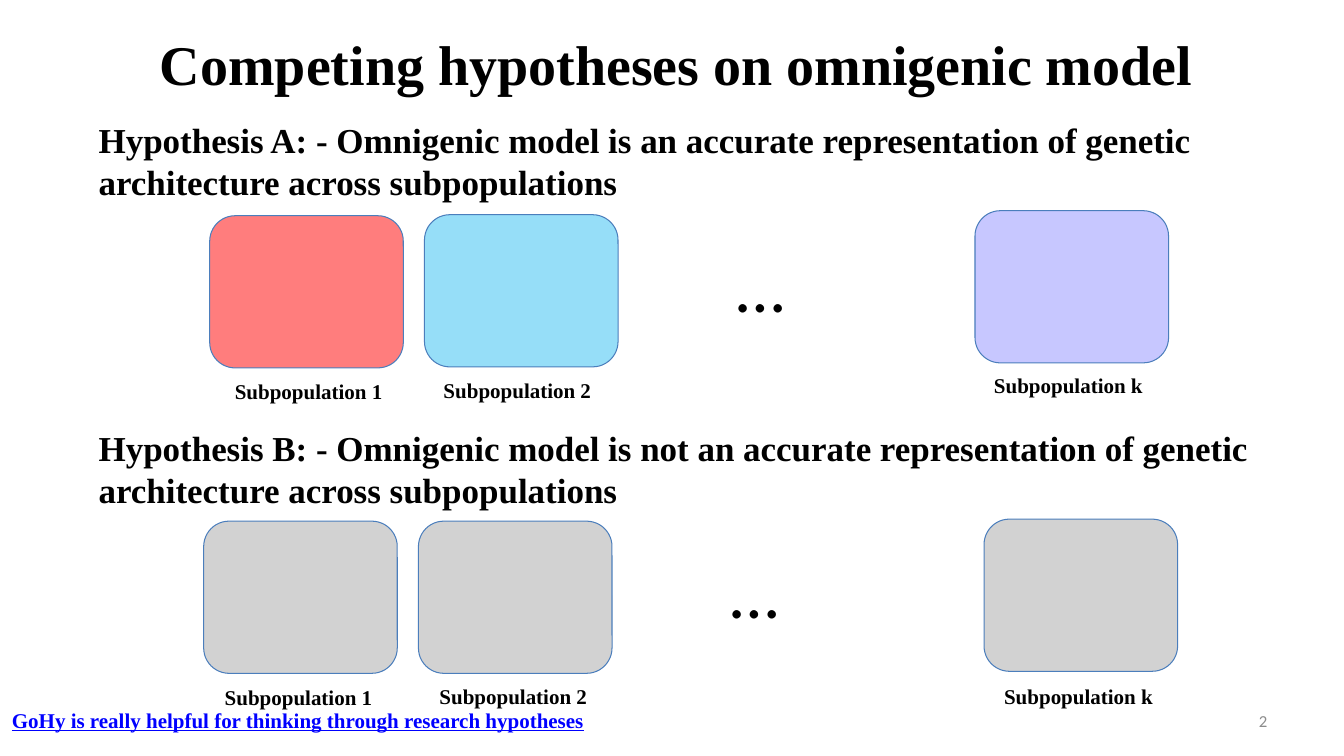
from lxml import etree
from pptx import Presentation
from pptx.dml.color import RGBColor
from pptx.enum import shapes, text
from pptx.oxml import ns
from pptx.util import Inches, Pt

BLACK = RGBColor(0x00, 0x00, 0x00)
LINK_BLUE = RGBColor(0x00, 0x00, 0xFF)
NUMBER_GREY = RGBColor(0x8C, 0x8C, 0x8C)
OUTLINE = RGBColor(0x4B, 0x7E, 0xBC)
RED = RGBColor(0xFF, 0x00, 0x00)
SKY = RGBColor(0x00, 0xB0, 0xF0)
LILAC = RGBColor(0x99, 0x99, 0xFF)
SILVER = RGBColor(0xBF, 0xBF, 0xBF)

SERIF, SANS = "Times New Roman", "Calibri"
NAMES = ("Subpopulation 1", "Subpopulation 2", "Subpopulation k")


def write(tf, words, size=15, font=SERIF, color=BLACK, bold=True, underline=None,
          align=text.PP_ALIGN.LEFT, anchor=text.MSO_ANCHOR.TOP, indent=0):
    tf.word_wrap = True
    tf.auto_size = text.MSO_AUTO_SIZE.NONE
    tf.vertical_anchor = anchor
    p = tf.paragraphs[0]
    p.alignment = align
    if indent:
        p.level = 1
        pPr = p._p.get_or_add_pPr()
        pPr.set("marL", str(Inches(indent)))
        pPr.set("indent", "0")
    r = p.add_run()
    r.text = words
    r.font.name, r.font.size = font, Pt(size)
    r.font.bold, r.font.underline = bold, underline
    r.font.color.rgb = color


class HypothesisSlide:
    def __init__(self, prs):
        self.s = prs.slides.add_slide(prs.slide_layouts[5])

    def title(self, words):
        sp = self.s.shapes.title
        sp.left, sp.top = Inches(0.08), Inches(0)
        sp.width, sp.height = Inches(13.25), Inches(1.25)
        write(sp.text_frame, words, size=40, align=text.PP_ALIGN.CENTER,
              anchor=text.MSO_ANCHOR.MIDDLE)

    def label(self, words, x, y, w, h, parent=None, **style):
        sp = (parent or self.s).shapes.add_textbox(
            Inches(x), Inches(y), Inches(w), Inches(h))
        write(sp.text_frame, words, **style)

    def box(self, parent, x, y, color, opacity):
        sp = parent.shapes.add_shape(shapes.MSO_SHAPE.ROUNDED_RECTANGLE,
                                     Inches(x), Inches(y), Inches(1.92), Inches(1.51))
        sp.shadow.inherit = False
        sp.fill.solid()
        sp.fill.fore_color.rgb = color
        clr = sp._element.spPr.find(".//" + ns.qn("a:srgbClr"))
        etree.SubElement(clr, ns.qn("a:alpha")).set("val", str(opacity * 1000))
        sp.line.color.rgb = OUTLINE
        sp.line.width = Pt(0.75)

    def hypothesis(self, statement, y, boxes, labels, dots):
        """Draw a statement and, below it, its group of subpopulations."""
        self.label(statement, 0.38, y, 12.67, 2.2, size=25, indent=0.5)
        group = self.s.shapes.add_group_shape()
        for name, box, place in zip(NAMES, boxes, labels):
            self.box(group, *box)
            self.label(name, *place, 1.71, 0.35, parent=group)
        self.label("…", *dots, 0.22, 0.94, parent=group, size=50, font=SANS, bold=False)


def main():
    prs = Presentation()
    prs.slide_width, prs.slide_height = Inches(13.33), Inches(7.5)
    slide = HypothesisSlide(prs)
    slide.title("Competing hypotheses on omnigenic model")
    slide.hypothesis(
        "Hypothesis A: - Omnigenic model is an accurate representation of genetic "
        "architecture across subpopulations", 1.13,
        boxes=[(2.08, 2.14, RED, 51), (4.21, 2.13, SKY, 41), (9.67, 2.09, LILAC, 55)],
        labels=[(2.23, 3.71), (4.3, 3.7), (9.76, 3.65)],
        dots=(7.21, 2.36))
    slide.hypothesis(
        "Hypothesis B: - Omnigenic model is not an accurate representation of genetic "
        "architecture across subpopulations", 4.18,
        boxes=[(x, y, SILVER, 70) for x, y in ((2.02, 5.17), (4.15, 5.17), (9.76, 5.15))],
        labels=[(2.13, 6.74), (4.26, 6.73), (9.86, 6.73)],
        dots=(7.15, 5.39))
    slide.label("GoHy is really helpful for thinking through research hypotheses",
                0.02, 6.97, 6.1, 0.35, color=LINK_BLUE, underline=True)
    slide.label("2", 9.56, 6.95, 3.11, 0.4, size=12, font=SANS, color=NUMBER_GREY,
                bold=False, align=text.PP_ALIGN.RIGHT, anchor=text.MSO_ANCHOR.MIDDLE)
    prs.save("out.pptx")


if __name__ == "__main__":
    main()
